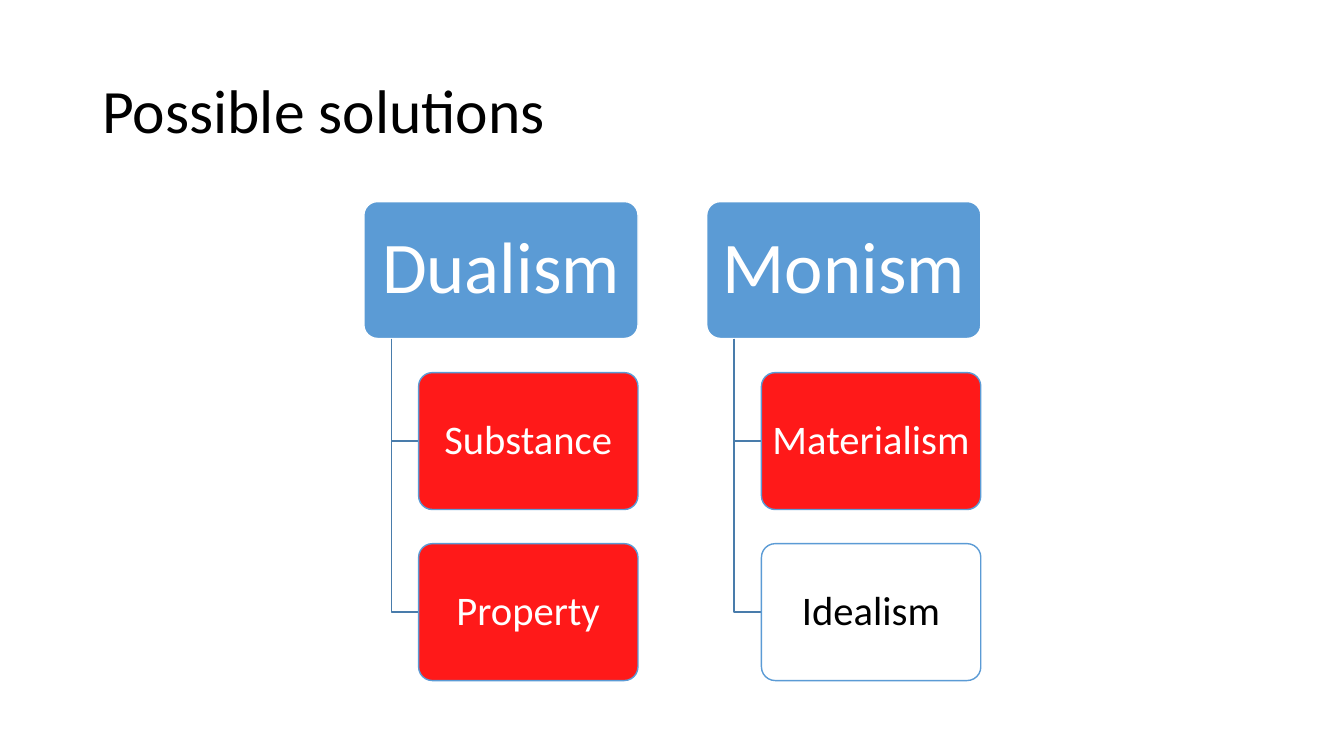
from lxml import etree
from pptx import Presentation, util as u
from pptx.dml.color import RGBColor
from pptx.enum import shapes, text
from pptx.oxml.ns import qn

Cm, Pt = u.Cm, u.Pt
rgb = RGBColor.from_string


def set_text(sp, wording, size, color, align):
    tf = sp.text_frame
    tf.vertical_anchor = text.MSO_ANCHOR.MIDDLE
    p = tf.paragraphs[0]
    p.text = wording
    p.alignment = align
    p.line_spacing = 0.9
    p.font.name, p.font.size = "Calibri", Pt(size)
    p.font.color.rgb = rgb(color)
    return tf


def add_box(left, top, width, wording, size, color, fill, line):
    sp = s.shapes.add_shape(shapes.MSO_SHAPE.ROUNDED_RECTANGLE,
                            Cm(left), Cm(top), Cm(width), Cm(BOX_H))
    sp.adjustments[0] = 0.1
    sp.shadow.inherit = False
    sp.fill.solid()
    sp.fill.fore_color.rgb = rgb(fill)
    sp.line.color.rgb = rgb(line)
    sp.line.width = Pt(1)
    tf = set_text(sp, wording, size, color, text.PP_ALIGN.CENTER)
    tf.word_wrap = False
    return sp


prs = Presentation()
prs.slide_width, prs.slide_height = Cm(33.87), Cm(19.05)
s = prs.slides.add_slide(prs.slide_layouts[6])

# Title
title = s.shapes.add_textbox(Cm(2.33), Cm(1.01), Cm(29.21), Cm(3.68))
tf = set_text(title, "Possible solutions", 44, "000000", text.PP_ALIGN.LEFT)
tf.word_wrap = True

# Hierarchy: one column per theory, its variants hanging below the header
LEFT, TOP, COLUMN_STEP, ROW_STEP = 9.17, 5.08, 8.64, 4.31
HEADER_W, BOX_H, INDENT = 6.91, 3.45, 1.38
BLUE, RED, WHITE, BLACK = "5B9BD5", "FF0000", "FFFFFF", "000000"
theories = [
    ("Dualism", [("Substance", RED, WHITE), ("Property", RED, WHITE)]),
    ("Monism", [("Materialism", RED, WHITE), ("Idealism", WHITE, BLACK)]),
]

for col, (theory, variants) in enumerate(theories):
    left = LEFT + col * COLUMN_STEP
    add_box(left, TOP, HEADER_W, theory, 52, WHITE, BLUE, WHITE)
    trunk_x, child_x = left + INDENT / 2, left + INDENT

    for row, (variant, fill, color) in enumerate(variants, 1):
        top = TOP + row * ROW_STEP
        middle = top + BOX_H / 2

        # Elbow line from header to variant
        fb = s.shapes.build_freeform(Cm(trunk_x), Cm(TOP + BOX_H))
        fb.add_line_segments([(Cm(trunk_x), Cm(middle)), (Cm(child_x), Cm(middle))],
                             close=False)
        elbow = fb.convert_to_shape()
        elbow.shadow.inherit = False
        elbow.fill.background()
        elbow.line.color.rgb = rgb("497CAB")
        elbow.line.width = Pt(1)

        # Variant box with a 90 % opaque fill
        sp = add_box(child_x, top, HEADER_W * 0.8, variant, 29, color, fill, BLUE)
        clr = sp.fill._xPr.find(qn("a:solidFill"))[0]
        etree.SubElement(clr, qn("a:alpha"), val="90000")

prs.save("out.pptx")
